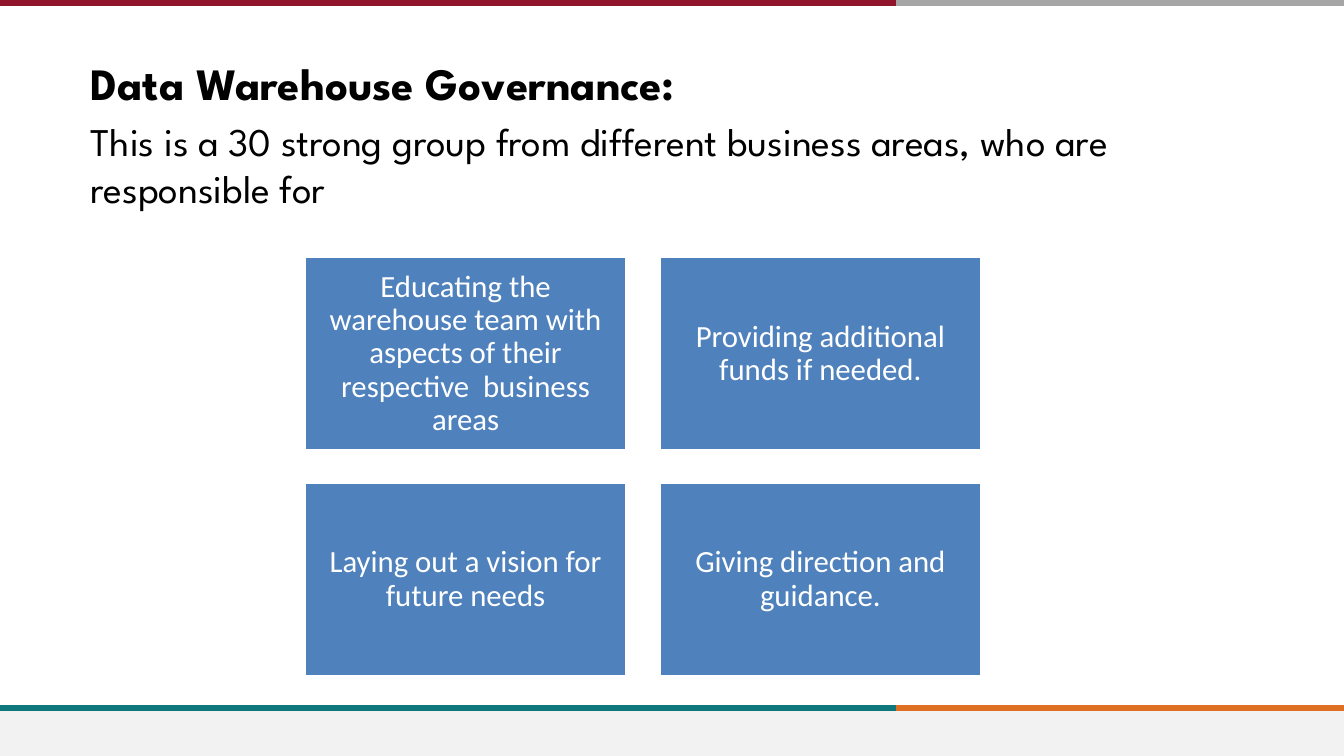
from lxml import etree
from pptx import Presentation
from pptx.dml.color import RGBColor
from pptx.enum.shapes import MSO_CONNECTOR, MSO_SHAPE
from pptx.enum.text import MSO_ANCHOR, MSO_AUTO_SIZE, PP_ALIGN
from pptx.oxml.ns import qn
from pptx.util import Pt

STRAIGHT = MSO_CONNECTOR.STRAIGHT
RECTANGLE = MSO_SHAPE.RECTANGLE
MIDDLE, TOP = MSO_ANCHOR.MIDDLE, MSO_ANCHOR.TOP
NO_AUTOFIT = MSO_AUTO_SIZE.NONE
CENTER, LEFT = PP_ALIGN.CENTER, PP_ALIGN.LEFT

BLACK = RGBColor(0x00, 0x00, 0x00)
WHITE = RGBColor(0xFF, 0xFF, 0xFF)
FOOTER_GRAY = RGBColor(0xF2, 0xF2, 0xF2)
ORANGE = RGBColor(0xDF, 0x70, 0x23)
TEAL = RGBColor(0x0F, 0x78, 0x7D)
RULE_GRAY = RGBColor(0xA6, 0xA6, 0xA6)
CRIMSON = RGBColor(0x90, 0x15, 0x2A)
BLUE = RGBColor(0x4F, 0x81, 0xBD)

SLIDE_WIDTH, SLIDE_HEIGHT = 960, 540
RULE_SPLIT = 640
CARD_WIDTH, CARD_HEIGHT = 230.4, 138.24
CARD_LEFT, CARD_TOP, CARD_GAP = 217.4, 183.6, 23.04
CARD_INSET = 6.6

INTRO = [
    ("Data Warehouse Governance:", 32, True, 0),
    ("This is a 30 strong group from different business areas, "
     "who are responsible for", 28, False, 5.6),
]
RESPONSIBILITIES = [
    "Educating the warehouse team with aspects of their respective  business areas",
    "Providing additional funds if needed.",
    "Laying out a vision for future needs",
    "Giving direction and guidance.",
]


def add_rectangle(slide, left, top, width, height, fill):
    rectangle = slide.shapes.add_shape(
        RECTANGLE, Pt(left), Pt(top), Pt(width), Pt(height))
    rectangle.shadow.inherit = False
    rectangle.fill.solid()
    rectangle.fill.fore_color.rgb = fill
    rectangle.line.fill.background()
    return rectangle


def add_rule(slide, start, end, y, color):
    rule = slide.shapes.add_connector(STRAIGHT, Pt(start), Pt(y), Pt(end), Pt(y))
    rule.line.color.rgb = color
    rule.line.width = Pt(4)
    etree.SubElement(rule._element.spPr, qn("a:effectLst"))


def add_split_rule(slide, y, left_color, right_color):
    add_rule(slide, RULE_SPLIT, SLIDE_WIDTH, y, right_color)
    add_rule(slide, 0, RULE_SPLIT, y, left_color)


def fill_intro(body):
    body.left, body.top = Pt(57.6), Pt(36)
    body.width, body.height = Pt(836.6), Pt(450)
    frame = body.text_frame
    frame.auto_size = NO_AUTOFIT
    frame.word_wrap = True
    frame.vertical_anchor = TOP
    frame.text = "\n".join(text for text, *_ in INTRO)
    for paragraph, (_, size, bold, space_before) in zip(frame.paragraphs, INTRO):
        properties = paragraph._p.get_or_add_pPr()
        properties.set("marL", "0")
        properties.set("indent", "0")
        etree.SubElement(properties, qn("a:buNone"))
        paragraph.alignment = LEFT
        paragraph.space_before = Pt(space_before)
        paragraph.font.name = "League Spartan"
        paragraph.font.size = Pt(size)
        paragraph.font.bold = bold
        paragraph.font.color.rgb = BLACK


def add_card(slide, left, top, text):
    card = add_rectangle(slide, left, top, CARD_WIDTH, CARD_HEIGHT, BLUE)
    card.line.color.rgb = WHITE
    card.line.width = Pt(2)
    frame = card.text_frame
    frame.word_wrap = True
    frame.vertical_anchor = MIDDLE
    frame.margin_left = frame.margin_right = Pt(CARD_INSET)
    frame.margin_top = frame.margin_bottom = Pt(CARD_INSET)
    frame.text = text
    paragraph = frame.paragraphs[0]
    paragraph.alignment = CENTER
    paragraph.line_spacing = 0.9
    paragraph.font.name = "Calibri"
    paragraph.font.size = Pt(22)
    paragraph.font.color.rgb = WHITE


def main():
    presentation = Presentation()
    presentation.slide_width = Pt(SLIDE_WIDTH)
    presentation.slide_height = Pt(SLIDE_HEIGHT)
    slide = presentation.slides.add_slide(presentation.slide_layouts[1])
    empty_title = slide.shapes.title._element
    empty_title.getparent().remove(empty_title)

    add_rectangle(slide, 0, 507.6, SLIDE_WIDTH, 32.4, FOOTER_GRAY)
    add_split_rule(slide, 505.6, TEAL, ORANGE)
    add_split_rule(slide, 2, CRIMSON, RULE_GRAY)
    fill_intro(slide.placeholders[1])

    for index, responsibility in enumerate(RESPONSIBILITIES):
        row, column = divmod(index, 2)
        add_card(slide,
                 CARD_LEFT + column * (CARD_WIDTH + CARD_GAP),
                 CARD_TOP + row * (CARD_HEIGHT + CARD_GAP),
                 responsibility)

    presentation.save("out.pptx")


if __name__ == "__main__":
    main()
